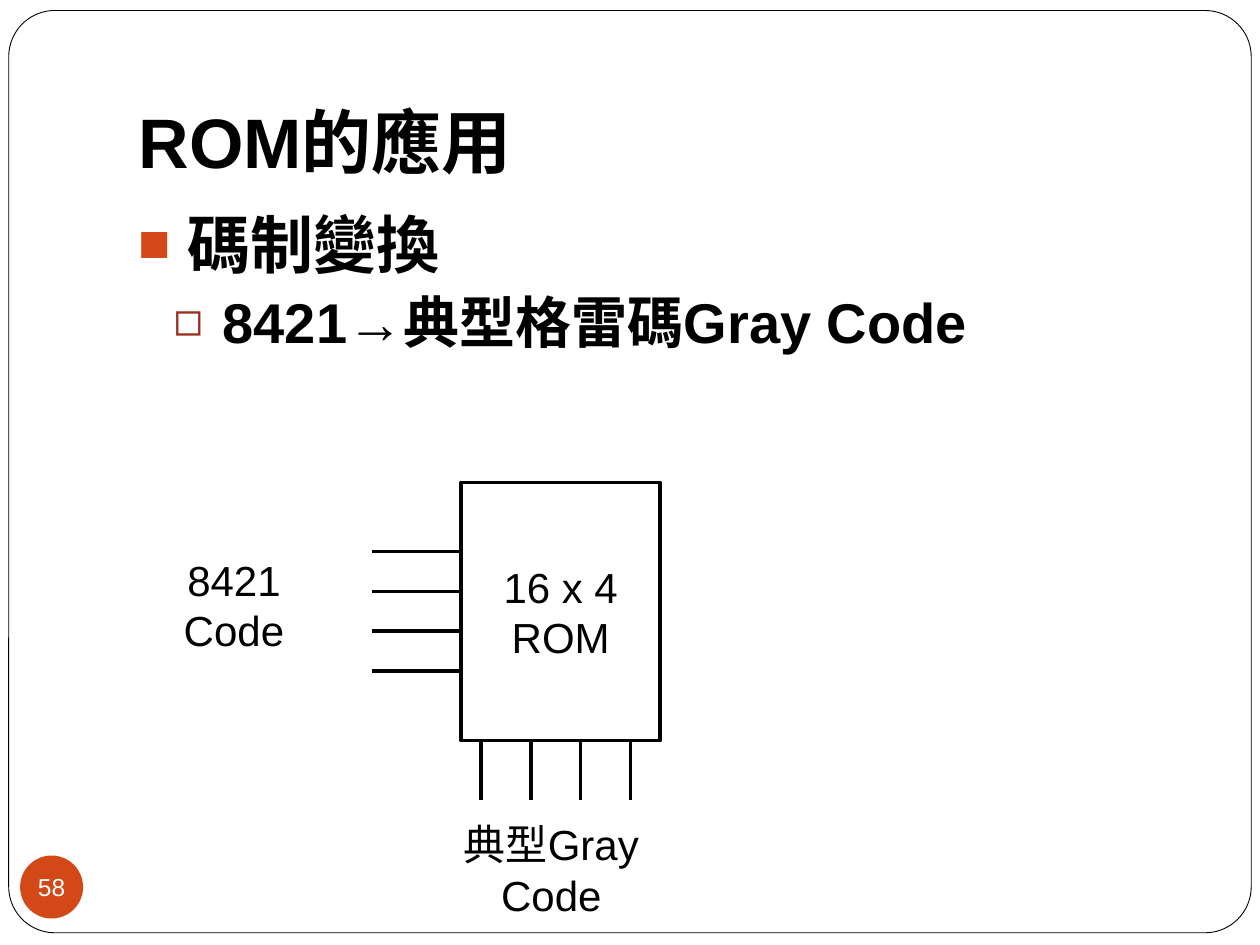
"""Build the slide on using a ROM as a code converter."""
from dataclasses import dataclass

from lxml.etree import SubElement as Sub
from pptx import Presentation
from pptx.dml.color import RGBColor
from pptx.enum.shapes import MSO_CONNECTOR as Link, MSO_SHAPE as Kind
from pptx.enum.text import MSO_ANCHOR as Anchor, MSO_AUTO_SIZE as Fit, PP_ALIGN as Align
from pptx.oxml.ns import qn
from pptx.util import Pt

BLACK = RGBColor(0, 0, 0)
WHITE = RGBColor(255, 255, 255)
ORANGE = RGBColor(0xD3, 0x48, 0x17)
RUST = RGBColor(0x9B, 0x2D, 0x1F)


@dataclass(frozen=True)
class Box:
    left: float
    top: float
    width: float
    height: float

    def pts(self) -> tuple:
        return Pt(self.left), Pt(self.top), Pt(self.width), Pt(self.height)


@dataclass(frozen=True)
class Item:
    text: str
    size: float
    level: int
    left: float
    space: float
    mark: str
    color: RGBColor


FRAME = Box(5, 6, 710, 527)
TITLE = Box(72, 21.6, 612, 90)
BODY = Box(72, 113.75, 612, 360)
BADGE = Box(11.5, 488.9, 36, 36)
ROM = Box(263.5, 275.75, 113.75, 147.5)
LABELS = (
    ("8421 Code", Box(75, 313.2, 117.4, 36)),
    ("典型Gray Code", Box(234, 464.4, 162, 36)),
)
ITEMS = (
    Item("碼制變換", 36, 0, 28, 5.8, "■", ORANGE),
    Item("8421→典型格雷碼Gray Code", 32, 1, 48, 3.7, "◻", RUST),
)
HANG = 28
PINS = 4
PIN_IN, PIN_OUT = 51, 34


def style(para, size: float, color: RGBColor = BLACK, bold: bool = False,
          align: Align = Align.CENTER) -> None:
    para.alignment = align
    font = para.font
    font.name, font.size, font.bold = "Arial", Pt(size), bold
    font.color.rgb = color


def place(shape, box: Box) -> None:
    shape.left, shape.top, shape.width, shape.height = box.pts()


def add_shape(shapes, kind: Kind, box: Box, fill: RGBColor, line: float = 0):
    shape = shapes.add_shape(kind, *box.pts())
    shape.shadow.inherit = False
    shape.fill.solid()
    shape.fill.fore_color.rgb = fill
    if line:
        shape.line.color.rgb = BLACK
        shape.line.width = Pt(line)
    else:
        shape.line.fill.background()
    return shape


def add_pin(shapes, x: float, y: float, dx: float, dy: float) -> None:
    pin = shapes.add_connector(Link.STRAIGHT, Pt(x), Pt(y), Pt(x + dx), Pt(y + dy))
    pin.line.color.rgb = BLACK
    pin.line.width = Pt(2)
    Sub(pin._element.spPr, qn("a:effectLst"))


def write(frame, lines: tuple, size: float, color: RGBColor = BLACK) -> None:
    frame.text = "\n".join(lines)
    for para in frame.paragraphs:
        style(para, size, color)


def add_item(para, item: Item) -> None:
    para.text = item.text
    para.level = item.level
    para.space_before = Pt(item.space)
    props = para._p.get_or_add_pPr()
    props.set("marL", str(Pt(item.left)))
    props.set("indent", str(-Pt(HANG)))
    tint = Sub(props, qn("a:buClr"))
    Sub(tint, qn("a:srgbClr"), val=str(item.color))
    Sub(props, qn("a:buSzPct"), val="85000")
    Sub(props, qn("a:buFont"), typeface="Arial")
    Sub(props, qn("a:buChar"), char=item.mark)
    style(para, item.size, bold=True, align=Align.LEFT)


def add_text(slide) -> None:
    title, body = slide.placeholders
    place(title, TITLE)
    frame = title.text_frame
    frame.text = "ROM的應用"
    frame.vertical_anchor = Anchor.BOTTOM
    frame.margin_bottom = Pt(7.2)
    frame.auto_size = Fit.NONE
    style(frame.paragraphs[0], 40, bold=True, align=Align.LEFT)

    place(body, BODY)
    frame = body.text_frame
    frame.auto_size = Fit.NONE
    for i, item in enumerate(ITEMS):
        add_item(frame.add_paragraph() if i else frame.paragraphs[0], item)


def add_rom(shapes) -> None:
    chip = add_shape(shapes, Kind.RECTANGLE, ROM, WHITE, 2)
    write(chip.text_frame, ("16 x 4", "ROM"), 24)
    base = ROM.top + ROM.height
    for i in range(PINS):
        add_pin(shapes, ROM.left - PIN_IN, 315.25 + 22.7 * i, PIN_IN, 0)
        add_pin(shapes, 275 + 28.4 * i, base, 0, PIN_OUT)
    for text, box in LABELS:
        frame = shapes.add_textbox(*box.pts()).text_frame
        frame.word_wrap = True
        write(frame, (text,), 24)


def main() -> None:
    deck = Presentation()
    deck.slide_width, deck.slide_height = Pt(720), Pt(540)
    slide = deck.slides.add_slide(deck.slide_layouts[1])
    shapes = slide.shapes
    add_text(slide)

    border = add_shape(shapes, Kind.ROUNDED_RECTANGLE, FRAME, WHITE, 0.5)
    border.adjustments[0] = 0.05
    shapes._spTree.insert(2, border._element)

    badge = add_shape(shapes, Kind.OVAL, BADGE, ORANGE)
    frame = badge.text_frame
    frame.margin_left = frame.margin_right = frame.margin_top = frame.margin_bottom = 0
    frame.word_wrap = False
    write(frame, ("58",), 14, WHITE)

    add_rom(shapes)
    deck.save("out.pptx")


if __name__ == "__main__":
    main()
